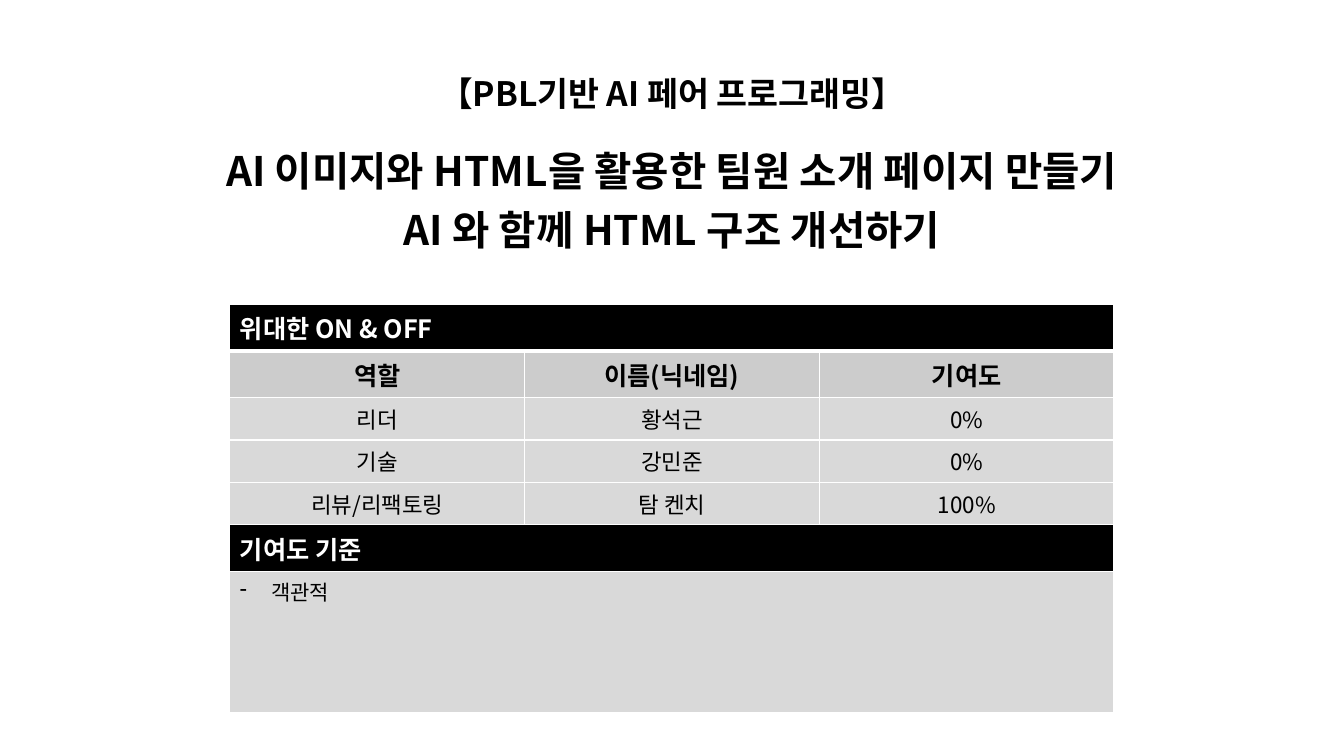
import pptx
import pptx.util
import pptx.dml.color
import pptx.enum.text
import pptx.oxml
import pptx.oxml.ns
from dataclasses import dataclass

Inches, Pt = pptx.util.Inches, pptx.util.Pt
ALIGN = pptx.enum.text.PP_ALIGN


@dataclass(frozen=True)
class Theme:
    font: str = "Noto Sans CJK KR"
    black: str = "000000"
    white: str = "FFFFFF"
    label_fill: str = "CCCCCC"
    body_fill: str = "D9D9D9"
    course_size: int = 24
    topic_size: int = 29
    heading_size: int = 18
    member_size: int = 16
    criterion_size: int = 15


THEME = Theme()

# Text, size, space before
HEADLINE = [
    ("【PBL기반 AI 페어 프로그래밍】", THEME.course_size, 0),
    ("AI 이미지와 HTML을 활용한 팀원 소개 페이지 만들기", THEME.topic_size, 20),
    ("AI 와 함께 HTML 구조 개선하기", THEME.topic_size, 4),
]

# Row kind, cell texts; a single text spans the whole row
TEAM_ROWS = [
    ("heading", ["위대한 ON & OFF"]),
    ("label", ["역할", "이름(닉네임)", "기여도"]),
    ("member", ["리더", "황석근", "0%"]),
    ("member", ["기술", "강민준", "0%"]),
    ("member", ["리뷰/리팩토링", "탐 켄치", "100%"]),
    ("heading", ["기여도 기준"]),
    ("criterion", ["객관적"]),
]

ROW_FORMATS = {
    "heading": dict(height=0.39, fill=THEME.black, color=THEME.white,
                    size=THEME.heading_size, bold=True, align=ALIGN.LEFT),
    "label": dict(height=0.39, fill=THEME.label_fill, color=THEME.black,
                  size=THEME.heading_size, bold=True, align=ALIGN.CENTER),
    "member": dict(height=0.36, fill=THEME.body_fill, color=THEME.black,
                   size=THEME.member_size, bold=False, align=ALIGN.CENTER),
    "criterion": dict(height=1.4, fill=THEME.body_fill, color=THEME.black,
                      size=THEME.criterion_size, bold=False, align=ALIGN.LEFT),
}

SLIDE_WIDTH, SLIDE_HEIGHT = 13.33, 7.5
HEADLINE_TOP, HEADLINE_HEIGHT = 0.63, 2.03
TABLE_LEFT, TABLE_TOP, TABLE_WIDTH = 2.28, 3.02, 8.77
COLUMN_COUNT = 3
LINE_HEIGHT = 1.32
BULLET_INDENT = 0.31


def rgb(value):
    return pptx.dml.color.RGBColor.from_string(value)


def write(paragraph, text, size, color, bold, align):
    paragraph.alignment = align
    run = paragraph.add_run()
    run.text = text
    for name, value in dict(name=THEME.font, size=Pt(size), bold=bold).items():
        setattr(run.font, name, value)
    run.font.color.rgb = rgb(color)
    east_asian = pptx.oxml.parse_xml(
        f'<a:ea {pptx.oxml.ns.nsdecls("a")} typeface="{THEME.font}"/>')
    run.font._element.append(east_asian)


def add_borders(cell, widths):
    """Draw white cell borders; widths maps L, R, T and B to points."""
    properties = cell._tc.get_or_add_tcPr()
    for side, width in widths.items():
        properties.append(pptx.oxml.parse_xml(
            f'<a:ln{side} {pptx.oxml.ns.nsdecls("a")} w="{Pt(width)}"><a:solidFill>'
            f'<a:srgbClr val="{THEME.white}"/></a:solidFill></a:ln{side}>'))


def add_dash(paragraph):
    properties = paragraph._p.get_or_add_pPr()
    properties.set("marL", str(Inches(BULLET_INDENT)))
    properties.set("indent", str(-Inches(BULLET_INDENT)))
    properties.append(pptx.oxml.parse_xml(
        f'<a:buChar {pptx.oxml.ns.nsdecls("a")} char="-"/>'))


def add_headline(slide):
    headline = slide.shapes.title
    box = dict(left=Inches(0), top=Inches(HEADLINE_TOP),
               width=Inches(SLIDE_WIDTH), height=Inches(HEADLINE_HEIGHT))
    for name, value in box.items():
        setattr(headline, name, value)
    frame = headline.text_frame
    layout = dict(word_wrap=True, auto_size=pptx.enum.text.MSO_AUTO_SIZE.NONE,
                  vertical_anchor=pptx.enum.text.MSO_ANCHOR.TOP)
    for name, value in layout.items():
        setattr(frame, name, value)
    for index, (text, size, space) in enumerate(HEADLINE):
        line = frame.add_paragraph() if index else frame.paragraphs[0]
        line.space_before = Pt(space)
        line.line_spacing = Pt(size * LINE_HEIGHT)
        write(line, text, size, THEME.black, True, ALIGN.CENTER)


def add_team_table(slide):
    heights = [ROW_FORMATS[kind]["height"] for kind, _ in TEAM_ROWS]
    team = slide.shapes.add_table(
        len(TEAM_ROWS), COLUMN_COUNT, Inches(TABLE_LEFT), Inches(TABLE_TOP),
        Inches(TABLE_WIDTH), Inches(sum(heights))).table
    for row_index, (kind, texts) in enumerate(TEAM_ROWS):
        look = ROW_FORMATS[kind]
        team.rows[row_index].height = Inches(look["height"])
        borders = {"L": 1, "R": 1, "T": 3 if row_index == 1 else 1,
                   "B": 3 if row_index == 0 else 1}
        for column in range(COLUMN_COUNT):
            cell = team.cell(row_index, column)
            add_borders(cell, borders)
            cell.fill.solid()
            cell.fill.fore_color.rgb = rgb(look["fill"])
        if len(texts) == 1:
            team.cell(row_index, 0).merge(team.cell(row_index, COLUMN_COUNT - 1))
        for column, text in enumerate(texts):
            paragraph = team.cell(row_index, column).text_frame.paragraphs[0]
            write(paragraph, text, look["size"], look["color"], look["bold"], look["align"])
            if kind == "criterion":
                add_dash(paragraph)


def main():
    deck = pptx.Presentation()
    deck.slide_width, deck.slide_height = Inches(SLIDE_WIDTH), Inches(SLIDE_HEIGHT)
    slide = deck.slides.add_slide(deck.slide_layouts.get_by_name("Title Only"))
    add_headline(slide)
    add_team_table(slide)
    deck.save("out.pptx")


if __name__ == "__main__":
    main()
